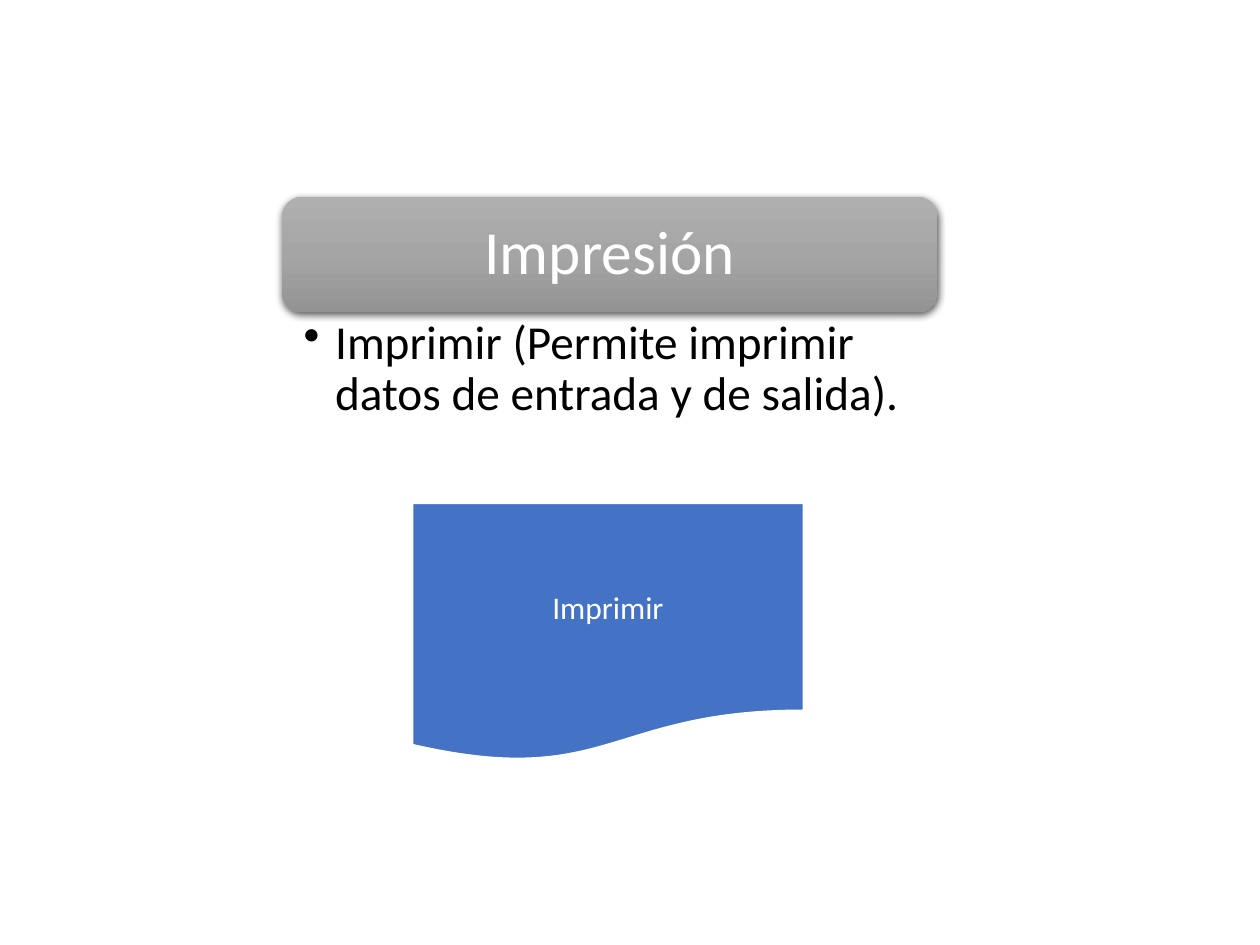
import copy
from dataclasses import dataclass

import lxml.etree
import pptx
import pptx.dml.color
import pptx.enum.shapes
import pptx.enum.text
import pptx.oxml.ns
import pptx.util

Inches = pptx.util.Inches
Pt = pptx.util.Pt
qn = pptx.oxml.ns.qn
PresetShape = pptx.enum.shapes.MSO_SHAPE
Align = pptx.enum.text.PP_ALIGN
Anchor = pptx.enum.text.MSO_ANCHOR


@dataclass(frozen=True)
class Theme:
    """Colours and type of the slide."""
    font: str = "Calibri"
    title_size: int = 35
    body_size: int = 27
    label_size: int = 18
    light: str = "FFFFFF"
    dark: str = "000000"
    document: str = "4472C4"
    banner: tuple = ((0, "AFAFAF"), (0.5, "A5A5A5"), (1, "939393"))


def rgb(value):
    """Turn a hex string into a colour."""
    return pptx.dml.color.RGBColor.from_string(value)


def apply_format(target, values):
    """Set each attribute named in a dict."""
    for name, value in values.items():
        setattr(target, name, value)


def add_xml(parent, tag, **attributes):
    """Append an XML child with attributes and return it."""
    return lxml.etree.SubElement(parent, qn(tag), attributes)


class SlideBuilder:
    """Draws styled elements on one slide."""

    def __init__(self, slide, theme):
        """Keep the slide and its theme."""
        self.slide = slide
        self.theme = theme

    def add_text(self, shape, text, size, color, insets=(0.1, 0.05, 0.1, 0.05),
                 anchor=Anchor.MIDDLE, **paragraph_format):
        """Put one styled paragraph into a shape."""
        frame = shape.text_frame
        sides = ("margin_left", "margin_top", "margin_right", "margin_bottom")
        apply_format(frame, {"word_wrap": True, "vertical_anchor": anchor})
        apply_format(frame, dict(zip(sides, map(Inches, insets))))
        paragraph = frame.paragraphs[0]
        apply_format(paragraph, {"alignment": Align.CENTER, **paragraph_format})
        run = paragraph.add_run()
        run.text = text
        apply_format(run.font, {"name": self.theme.font, "size": Pt(size)})
        run.font.color.rgb = rgb(color)
        return paragraph

    def shape(self, kind, box):
        """Add a preset shape without a shadow."""
        shape = self.slide.shapes.add_shape(kind, *map(Inches, box))
        shape.shadow.inherit = False
        return shape

    def banner(self, text, box):
        """Add a rounded gradient heading with a soft shadow."""
        shape = self.shape(PresetShape.ROUNDED_RECTANGLE, box)
        shape.adjustments[0] = 0.17
        shape.line.fill.background()
        shape.fill.gradient()
        shape.fill.gradient_angle = 270
        properties = shape._element.spPr
        stop_list = properties.find(".//" + qn("a:gsLst"))
        stop_list.insert(1, copy.deepcopy(stop_list[0]))
        for stop, (position, color) in zip(shape.fill.gradient_stops, self.theme.banner):
            stop.position = position
            stop.color.rgb = rgb(color)
        shadow = add_xml(properties.find(qn("a:effectLst")), "a:outerShdw",
                         blurRad=str(Pt(4.5)), dist=str(Pt(1.5)),
                         dir="5400000", rotWithShape="0")
        shade = add_xml(shadow, "a:srgbClr", val=self.theme.dark)
        add_xml(shade, "a:alpha", val="63000")
        self.add_text(shape, text, self.theme.title_size, self.theme.light,
                      insets=(0.15,) * 4, line_spacing=0.9)

    def bullet(self, text, box):
        """Add a text box with one hanging bullet."""
        shape = self.slide.shapes.add_textbox(*map(Inches, box))
        paragraph = self.add_text(shape, text, self.theme.body_size, self.theme.dark,
                                  insets=(0.17, 0.05, 0.27, 0.05), anchor=Anchor.TOP,
                                  alignment=Align.LEFT, line_spacing=0.9, level=1)
        properties = paragraph._p.get_or_add_pPr()
        properties.set("marL", str(Inches(0.25)))
        properties.set("indent", str(Inches(-0.25)))
        add_xml(properties, "a:buChar", char="•")

    def document(self, text, box):
        """Add a flowchart document symbol with a label."""
        shape = self.shape(PresetShape.FLOWCHART_DOCUMENT, box)
        shape.fill.solid()
        shape.fill.fore_color.rgb = rgb(self.theme.document)
        shape.line.color.rgb = rgb(self.theme.light)
        shape.line.width = Pt(1.5)
        self.add_text(shape, text, self.theme.label_size, self.theme.light)


def main():
    """Build and save the slide."""
    presentation = pptx.Presentation()
    apply_format(presentation, {"slide_width": Inches(10), "slide_height": Inches(7.5)})
    slide = presentation.slides.add_slide(presentation.slide_layouts[6])
    builder = SlideBuilder(slide, Theme())
    left, top, width, height = 2.24, 1.56, 5.2, 0.92
    builder.banner("Impresión", (left, top, width, height))
    builder.bullet("Imprimir (Permite imprimir datos de entrada y de salida).",
                   (left, top + height, width, 0.93))
    builder.document("Imprimir", (3.27, 3.99, 3.11, 2.06))
    presentation.save("out.pptx")


main()
